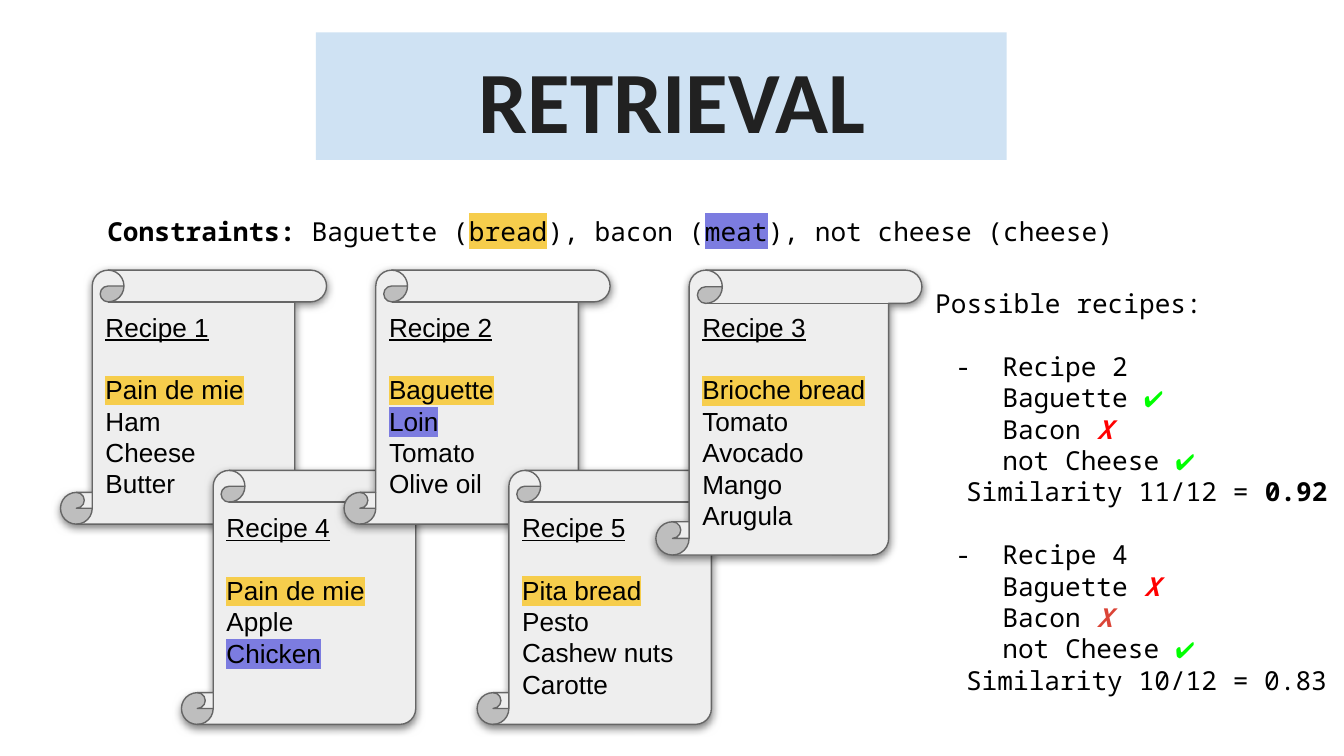
from lxml.etree import SubElement
from pptx import Presentation
from pptx.dml.color import RGBColor
from pptx.enum.shapes import MSO_SHAPE
from pptx.enum.text import MSO_ANCHOR, PP_ALIGN
from pptx.oxml import parse_xml
from pptx.oxml.ns import qn
from pptx.util import Inches, Pt

SLIDE_W = 10
SLIDE_H = SLIDE_W * 9 / 16
DRAWING_NS = "http://schemas.openxmlformats.org/drawingml/2006/main"
MONO, SANS, HEADING = "Noto Sans Mono", "Arial", "Calibri"
BREAD, MEAT = "F6CD4C", "7C7CE0"
GREEN, RED, DARK_RED = "00FF00", "FF0000", "DB4437"
LINE = 16.8  # pitch of the body text in points
LINE_IN = 0.23  # the same in inches
INSET = 0.1

# A run is a text and the ways it differs from its paragraph's style.
CONSTRAINTS = [
    ("Constraints: ", dict(bold=True)), ("Baguette (", {}),
    ("bread", dict(highlight=BREAD)), ("), bacon (", {}),
    ("meat", dict(highlight=MEAT)), ("), not cheese (cheese)", {}),
]

# Back to front: name, left, row, ingredients with their food group
ROW_TOPS = [2.01, 3.5]
RECIPES = [
    ("Recipe 1", 0.45, 0,
     [("Pain de mie", BREAD), ("Ham", None), ("Cheese", None), ("Butter", None)]),
    ("Recipe 4", 1.35, 1,
     [("Pain de mie", BREAD), ("Apple", None), ("Chicken", MEAT)]),
    ("Recipe 2", 2.56, 0,
     [("Baguette", BREAD), ("Loin", MEAT), ("Tomato", None), ("Olive oil", None)]),
    ("Recipe 5", 3.55, 1,
     [("Pita bread", BREAD), ("Pesto", None), ("Cashew nuts", None), ("Carotte", None)]),
    ("Recipe 3", 4.88, 0,
     [("Brioche bread", BREAD), ("Tomato", None), ("Avocado", None),
      ("Mango", None), ("Arugula", None)]),
]
SCROLL_W, SCROLL_H, USUAL_INGREDIENTS = 1.98, 1.89, 4

MET = ("✔", dict(font=SANS, size=12, color=GREEN, bold=True, highlight="FFFFFF"))
MISSED = ("X", dict(color=RED, bold=True, italic=True))
MISSED_DARK = ("X", dict(color=DARK_RED, bold=True, italic=True))
MATCHES = [
    ("Recipe 2", [("Baguette ", MET), ("Bacon ", MISSED), ("not Cheese ", MET)],
     [("Similarity 11/12 = ", {}), ("0.92", dict(bold=True))]),
    ("Recipe 4", [("Baguette ", MISSED), ("Bacon ", MISSED_DARK), ("not Cheese ", MET)],
     [("Similarity 10/12 = 0.83", {})]),
]


def rgb(value):
    return RGBColor.from_string(value)


def add_run(paragraph, text, font=MONO, size=14, color="000000", bold=False,
            italic=False, underline=False, highlight=None):
    run = paragraph.add_run()
    run.text = text
    style = run.font
    style.name, style.size = font, Pt(size)
    style.bold, style.italic, style.underline = bold, italic, underline
    style.color.rgb = rgb(color)
    if highlight:
        mark = parse_xml(f'<a:highlight xmlns:a="{DRAWING_NS}">'
                         f'<a:srgbClr val="{highlight}"/></a:highlight>')
        run.font._element.find(qn("a:solidFill")).addnext(mark)


def add_line(frame, runs, before=0, margin=0, bullet=None):
    """Append a paragraph; before counts blank lines, bullet hangs 0.35 in."""
    first = frame.paragraphs[0]
    paragraph = frame.add_paragraph() if first.runs else first
    paragraph.alignment = PP_ALIGN.LEFT
    paragraph.line_spacing = Pt(LINE)
    paragraph.space_before = Pt(before * LINE)
    properties = paragraph._p.get_or_add_pPr()
    properties.set("marL", str(Inches(margin)))
    properties.set("indent", str(Inches(-0.35 if bullet else 0)))
    if bullet:
        color = SubElement(properties, qn("a:buClr"))
        SubElement(color, qn("a:srgbClr"), val="000000")
        SubElement(properties, qn("a:buFont"), typeface=MONO)
        SubElement(properties, qn("a:buChar"), char=bullet)
    for text, style in runs:
        add_run(paragraph, text, **style)


def set_insets(frame):
    frame.word_wrap = True
    frame.margin_left = frame.margin_right = Inches(INSET)
    frame.margin_top = frame.margin_bottom = Inches(INSET)


def add_text_frame(slide, *box):
    frame = slide.shapes.add_textbox(*map(Inches, box)).text_frame
    set_insets(frame)
    return frame


def add_filled(slide, preset, box, fill):
    shape = slide.shapes.add_shape(preset, *map(Inches, box))
    shape.fill.solid()
    shape.fill.fore_color.rgb = rgb(fill)
    shape.shadow.inherit = False
    return shape


def add_recipe(slide, name, left, row, ingredients):
    extra = len(ingredients) - USUAL_INGREDIENTS
    height = SCROLL_H + max(extra, 0) * LINE_IN
    scroll = add_filled(slide, MSO_SHAPE.VERTICAL_SCROLL,
                        (left, ROW_TOPS[row], SCROLL_W, height), "EEEEEE")
    scroll.adjustments[0] = 0.125
    scroll.line.color.rgb = rgb("666666")
    scroll.line.width = Pt(0.75)
    effects = scroll._element.spPr.find(qn("a:effectLst"))
    shadow = SubElement(effects, qn("a:outerShdw"), blurRad=str(Pt(4.5)),
                        dist=str(Pt(1.5)), dir="5400000", algn="bl", rotWithShape="0")
    tint = SubElement(shadow, qn("a:srgbClr"), val="000000")
    SubElement(tint, qn("a:alpha"), val="50000")

    frame = scroll.text_frame
    set_insets(frame)
    frame.vertical_anchor = MSO_ANCHOR.MIDDLE
    # A short list keeps its heading level with the others.
    frame.margin_bottom = Inches(INSET + max(-extra, 0) * LINE_IN)
    add_line(frame, [(name, dict(font=SANS, underline=True))])
    for index, (ingredient, group) in enumerate(ingredients):
        add_line(frame, [(ingredient, dict(font=SANS, highlight=group))],
                 before=int(index == 0))


def add_matches(slide):
    frame = add_text_frame(slide, 6.86, 2.04, 3.14, 3.27)
    add_line(frame, [("Possible recipes:", {})])
    for name, checks, similarity in MATCHES:
        add_line(frame, [(name, {})], before=1, margin=0.5, bullet="-")
        for constraint, verdict in checks:
            add_line(frame, [(constraint, {}), verdict], margin=0.5)
        add_line(frame, similarity, margin=0.23)


def main():
    deck = Presentation()
    deck.slide_width, deck.slide_height = Inches(SLIDE_W), Inches(SLIDE_H)
    slide = deck.slides.add_slide(deck.slide_layouts[6])

    band = add_filled(slide, MSO_SHAPE.RECTANGLE, (2.35, 0.24, 5.14, 0.95), "CFE2F3")
    band.line.fill.background()
    title = add_text_frame(slide, 0.34, 0.24, 9.32, 0.88).paragraphs[0]
    title.alignment = PP_ALIGN.CENTER
    add_run(title, "RETRIEVAL", font=HEADING, size=46.8, color="212121", bold=True)

    add_line(add_text_frame(slide, 0.7, 1.5, 8.51, 0.67), CONSTRAINTS)
    for recipe in RECIPES:
        add_recipe(slide, *recipe)
    add_matches(slide)
    deck.save("out.pptx")


if __name__ == "__main__":
    main()
